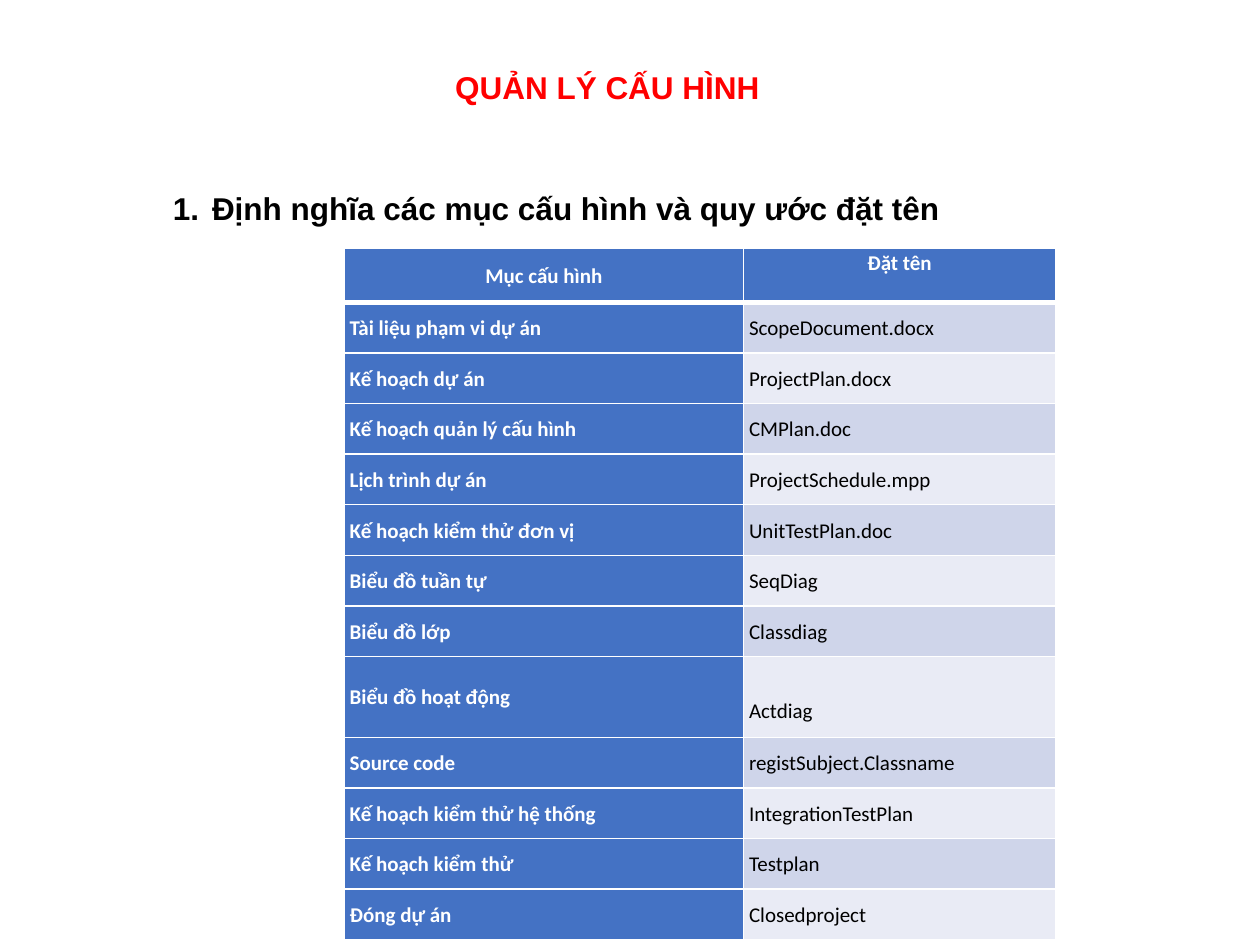
from dataclasses import dataclass

from lxml.etree import SubElement
from pptx import Presentation
from pptx.dml.color import RGBColor
from pptx.enum.text import MSO_ANCHOR, MSO_AUTO_SIZE, PP_ALIGN
from pptx.oxml.ns import qn
from pptx.util import Cm, Pt

# Content
TITLE = "QUẢN LÝ CẤU HÌNH"
SECTION = "Định nghĩa các mục cấu hình và quy ước đặt tên"
HEADER = ("Mục cấu hình", "Đặt tên")
ITEMS = [
    ("Tài liệu phạm vi dự án", "ScopeDocument.docx"),
    ("Kế hoạch dự án", "ProjectPlan.docx"),
    ("Kế hoạch quản lý cấu hình", "CMPlan.doc"),
    ("Lịch trình dự án", "ProjectSchedule.mpp"),
    ("Kế hoạch kiểm thử đơn vị", "UnitTestPlan.doc"),
    ("Biểu đồ tuần tự", "SeqDiag"),
    ("Biểu đồ lớp", "Classdiag"),
    ("Biểu đồ hoạt động", "Actdiag"),
    ("Source code", "registSubject.Classname"),
    ("Kế hoạch kiểm thử hệ thống", "IntegrationTestPlan"),
    ("Kế hoạch kiểm thử", "Testplan"),
    ("Đóng dự án", "Closedproject"),
]
TALL_ITEM = "Biểu đồ hoạt động"


@dataclass(frozen=True)
class Theme:
    title: str = "FF0000"
    text: str = "000000"
    light: str = "FFFFFF"
    accent: str = "4472C4"
    bands: tuple = ("CFD5EA", "E9EBF5")
    heading_font: str = "Arial"
    table_font: str = "Calibri"
    heading_size: int = 18
    table_size: int = 12
    line_spacing: float = 1.07


THEME = Theme()

# Layout
TITLE_BOX = (Cm(8.89), Cm(1.24), Cm(6.71), Cm(1.02))
SECTION_BOX = (Cm(1.96), Cm(3.63), Cm(17.4), Cm(1.02))
TABLE_LEFT, TABLE_TOP = Cm(6.94), Cm(5.01)
COLUMN_WIDTHS = (Cm(8.05), Cm(6.29))
HEADER_HEIGHT, ROW_HEIGHT, TALL_HEIGHT = Cm(1.07), Cm(1.02), Cm(1.63)
CELL_INSET, LINE_SHIFT = Cm(0.11), Cm(0.54)


def add_text(paragraph, text, font, size, color, bold):
    run = paragraph.add_run()
    run.text = text
    run.font.name, run.font.size, run.font.bold = font, Pt(size), bold
    run.font.color.rgb = RGBColor.from_string(color)


def fill_placeholder(placeholder, box, text, color, align):
    placeholder.left, placeholder.top, placeholder.width, placeholder.height = box
    frame = placeholder.text_frame
    frame.auto_size = MSO_AUTO_SIZE.SHAPE_TO_FIT_TEXT
    paragraph = frame.paragraphs[0]
    paragraph.alignment = align
    paragraph.space_before = Pt(0)
    add_text(paragraph, text, THEME.heading_font, THEME.heading_size, color, True)
    return frame, paragraph


def set_borders(cell, top, bottom):
    properties = cell._tc.get_or_add_tcPr()
    widths = {"a:lnL": 1, "a:lnR": 1, "a:lnT": top, "a:lnB": bottom}
    for index, (tag, width) in enumerate(widths.items()):
        line = properties.makeelement(qn(tag), {"w": str(Pt(width))})
        fill = SubElement(line, qn("a:solidFill"))
        SubElement(fill, qn("a:srgbClr"), val=THEME.light)
        properties.insert(index, line)


def fill_cell(cell, text, fill, color, bold, align):
    cell.fill.solid()
    cell.fill.fore_color.rgb = RGBColor.from_string(fill)
    cell.vertical_anchor = MSO_ANCHOR.MIDDLE
    cell.margin_left = cell.margin_right = CELL_INSET
    cell.margin_top = cell.margin_bottom = 0
    paragraph = cell.text_frame.paragraphs[0]
    paragraph.alignment = align
    paragraph.line_spacing = THEME.line_spacing
    add_text(paragraph, text, THEME.table_font, THEME.table_size, color, bold)


presentation = Presentation()
presentation.slide_width, presentation.slide_height = Cm(25.4), Cm(19.05)
slide = presentation.slides.add_slide(presentation.slide_layouts[1])

# Title
title_frame, _ = fill_placeholder(
    slide.shapes.title, TITLE_BOX, TITLE, THEME.title, PP_ALIGN.CENTER)
title_frame.word_wrap = False

# Numbered section heading
section_frame, section = fill_placeholder(
    slide.placeholders[1], SECTION_BOX, SECTION, THEME.text, PP_ALIGN.LEFT)
section_frame.word_wrap = True
section.level = 1
section.line_spacing = THEME.line_spacing
section.space_after = Pt(8)
numbering = section._p.get_or_add_pPr()
numbering.set("marL", str(Cm(2.06)))
numbering.set("indent", str(-Cm(0.79)))
SubElement(numbering, qn("a:buFont"), typeface="+mj-lt")
SubElement(numbering, qn("a:buAutoNum"), type="arabicPeriod")

# Table of configuration items
heights = [HEADER_HEIGHT] + [
    TALL_HEIGHT if item == TALL_ITEM else ROW_HEIGHT for item, _ in ITEMS]
naming = slide.shapes.add_table(
    len(heights), len(HEADER), TABLE_LEFT, TABLE_TOP,
    sum(COLUMN_WIDTHS), sum(heights)).table
for column, width in zip(naming.columns, COLUMN_WIDTHS):
    column.width = width

for index, (texts, height) in enumerate(zip([HEADER] + ITEMS, heights)):
    naming.rows[index].height = height
    is_header = index == 0
    align = PP_ALIGN.CENTER if is_header else PP_ALIGN.JUSTIFY
    for column, text in enumerate(texts):
        cell = naming.cell(index, column)
        strong = is_header or column == 0
        fill = THEME.accent if strong else THEME.bands[(index - 1) % 2]
        color = THEME.light if strong else THEME.text
        fill_cell(cell, text, fill, color, strong, align)
        set_borders(cell, 3 if index == 1 else 1, 3 if is_header else 1)

# Names set off the middle of their rows
naming.cell(0, 1).margin_bottom = LINE_SHIFT
tall_row = 1 + [item for item, _ in ITEMS].index(TALL_ITEM)
naming.cell(tall_row, 1).margin_top = LINE_SHIFT

presentation.save("out.pptx")
